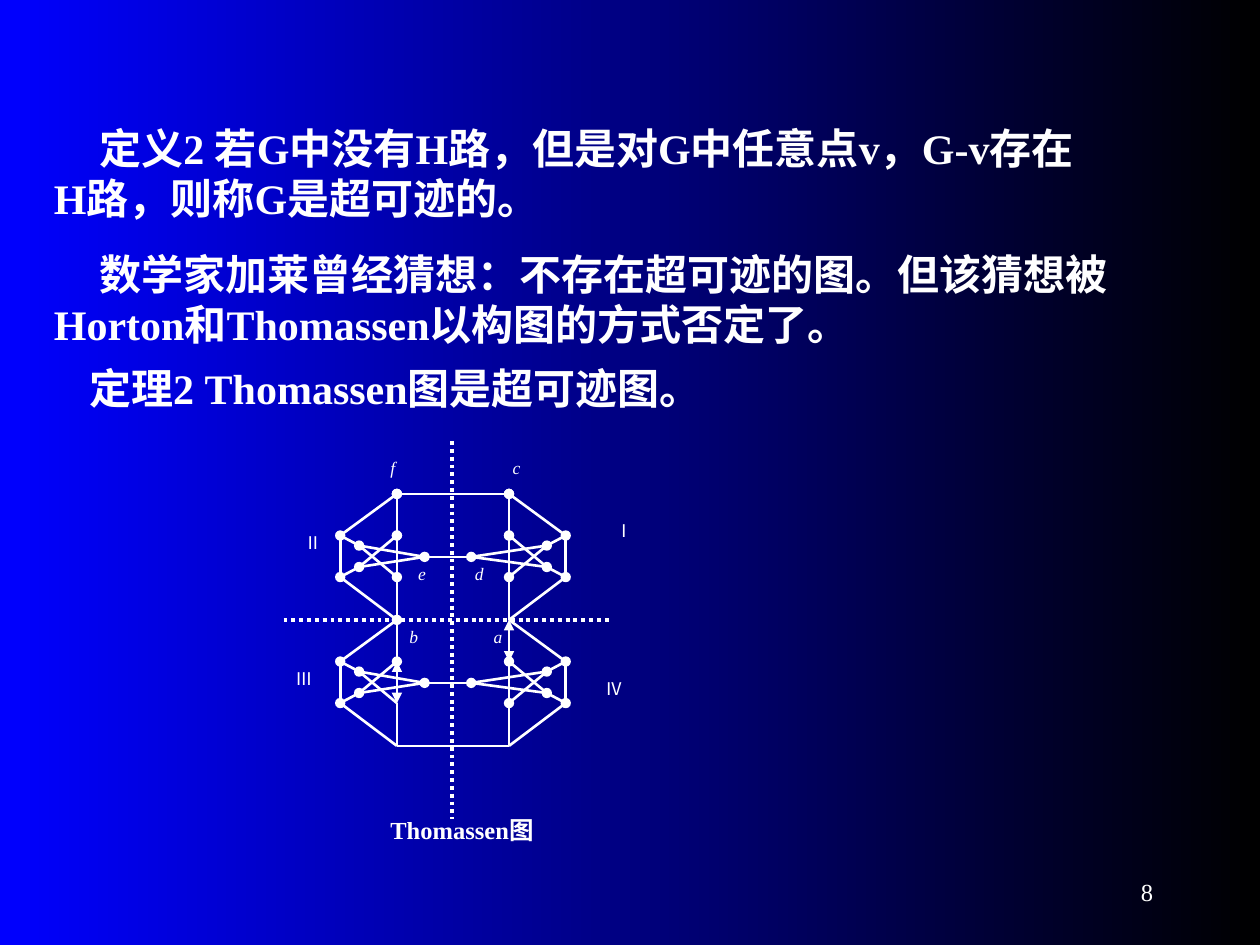
from lxml import etree
from pptx import Presentation
from pptx.dml.color import RGBColor
from pptx.enum import dml, shapes, text
from pptx.oxml import ns
from pptx.util import Inches, Pt

WHITE = RGBColor(0xFF, 0xFF, 0xFF)
BLUE = RGBColor(0x00, 0x00, 0xFF)
BLACK = RGBColor(0x00, 0x00, 0x00)
SERIF, CJK = "Times New Roman", "Noto Sans CJK SC"


def add_label(parent, box, content, size, font=SERIF, bold=False, italic=False):
    """Add a one-paragraph white text box and return it."""
    sp = parent.add_textbox(*(Inches(v) for v in box))
    tf = sp.text_frame
    tf.word_wrap = True
    p = tf.paragraphs[0]
    p.alignment = text.PP_ALIGN.JUSTIFY
    r = p.add_run()
    r.text = content
    r.font.size = Pt(size)
    r.font.name = font
    r.font.bold = bold
    r.font.italic = italic
    r.font.color.rgb = WHITE
    etree.SubElement(r._r.get_or_add_rPr(), ns.qn("a:ea"), typeface=CJK)
    return sp


def add_line(parent, start, end, ends=None, width=1.5, dash=None):
    """Add a white line; ends names the marker drawn at both ends."""
    x1, y1, x2, y2 = (Inches(v) for v in (*start, *end))
    line = parent.add_connector(shapes.MSO_CONNECTOR.STRAIGHT, x1, y1, x2, y2)
    line.line.color.rgb = WHITE
    line.line.width = Pt(width)
    if dash:
        line.line.dash_style = dash
    if ends:
        ln = line.line._get_or_add_ln()
        for tag in ("a:headEnd", "a:tailEnd"):
            etree.SubElement(ln, ns.qn(tag), type=ends)
    etree.SubElement(line._element.spPr, ns.qn("a:effectLst"))


prs = Presentation()
prs.slide_width, prs.slide_height = Inches(10), Inches(7.5)
s = prs.slides.add_slide(prs.slide_layouts[6])

fill = s.background.fill
fill.gradient()
fill.gradient_angle = 0
for stop, position, color in zip(fill.gradient_stops, (0, 1), (BLUE, BLACK)):
    stop.position = position
    stop.color.rgb = color

# Page number
number = add_label(s.shapes, (7.17, 6.83, 2.08, 0.5), "8", 14)
number.text_frame.vertical_anchor = text.MSO_ANCHOR.MIDDLE
number.text_frame.paragraphs[0].alignment = text.PP_ALIGN.RIGHT

# Definition, conjecture and theorem
STATEMENTS = [
    ((0.33, 0.92, 8.42, 0.97),
     "定义2 若G中没有H路，但是对G中任意点v，G-v存在H路，则称G是超可迹的。"),
    ((0.33, 1.92, 8.83, 0.97),
     "数学家加莱曾经猜想：不存在超可迹的图。但该猜想被Horton和Thomassen以构图的方式否定了。"),
    ((0.25, 2.83, 8.83, 0.57), "定理2 Thomassen图是超可迹图。"),
]
for box, content in STATEMENTS:
    sp = add_label(s.shapes, box, content, 24, bold=True)
    p = sp.text_frame.paragraphs[0]
    p.alignment = text.PP_ALIGN.LEFT
    p.space_before = Pt(15)
    p._p.get_or_add_pPr().set("indent", str(Inches(0.36)))

# Thomassen graph: the same block of vertices in each of four quadrants
graph = s.shapes.add_group_shape().shapes

VERTEX_LABELS = {"a": (3.82, 4.92), "b": (3.15, 4.92), "d": (3.67, 4.42),
                 "e": (3.22, 4.42), "f": (3, 3.58), "c": (3.97, 3.58)}
for name, corner in VERTEX_LABELS.items():
    add_label(graph, (*corner, 0.3, 0.29), name, 10, italic=True)

QUADRANT_LABELS = [("Ⅰ", 4.79, 4.08, 0.3), ("Ⅱ", 2.32, 4.17, 0.35),
                   ("Ⅲ", 2.25, 5.25, 0.3), ("Ⅳ", 4.71, 5.33, 0.4)]
for name, left, top, width in QUADRANT_LABELS:
    add_label(graph, (left, top, width, 0.29), name, 10, font=CJK)
add_label(graph, (3, 6.42, 1.57, 0.29), "Thomassen图", 14, bold=True)

DOTS = dml.MSO_LINE.ROUND_DOT
add_line(graph, (3.59, 3.5), (3.59, 6.5), width=2.25, dash=DOTS)
add_line(graph, (2.25, 4.92), (4.86, 4.92), width=2.25, dash=DOTS)

# x of the post, outer, inner and tip vertices on each side
SIDES = {"left": (3.15, 2.7, 2.85, 3.37), "right": (4.04, 4.49, 4.34, 3.74)}
TOPS = {"upper": 3.92, "lower": 4.92}
# marker on the first and second post segment of each quadrant
POST_ENDS = {("upper", "left"): ("oval", "oval"),
             ("upper", "right"): ("oval", "oval"),
             ("lower", "left"): ("oval", "triangle"),
             ("lower", "right"): ("triangle", "oval")}

for (half, side), (first, second) in POST_ENDS.items():
    post, outer, inner, tip = SIDES[side]
    y = TOPS[half]
    top, bottom = (post, y), (post, y + 1)
    post1, post2 = (post, y + 0.33), (post, y + 0.66)
    outer1, outer2 = (outer, y + 0.33), (outer, y + 0.66)
    inner1, inner2 = (inner, y + 0.41), (inner, y + 0.58)
    middle = (tip, y + 0.5)
    edges = [
        (top, post1, first), (post1, post2, second), (post2, bottom, None),
        (top, outer1, None), (outer1, outer2, None), (outer2, bottom, None),
        (outer1, inner1, "oval"), (outer2, inner2, "oval"),
        (post1, inner2, None), (inner1, post2, None),
        (inner1, middle, None), (inner2, middle, None),
    ]
    for start, end, ends in edges:
        add_line(graph, start, end, ends)

# Edges joining the left and right quadrants
for left, right, y, ends in [(3.15, 4.04, 3.92, "oval"), (3.37, 3.74, 4.42, "oval"),
                             (3.37, 3.74, 5.42, "oval"), (3.15, 4.04, 5.92, None)]:
    add_line(graph, (left, y), (right, y), ends)

prs.save("out.pptx")
